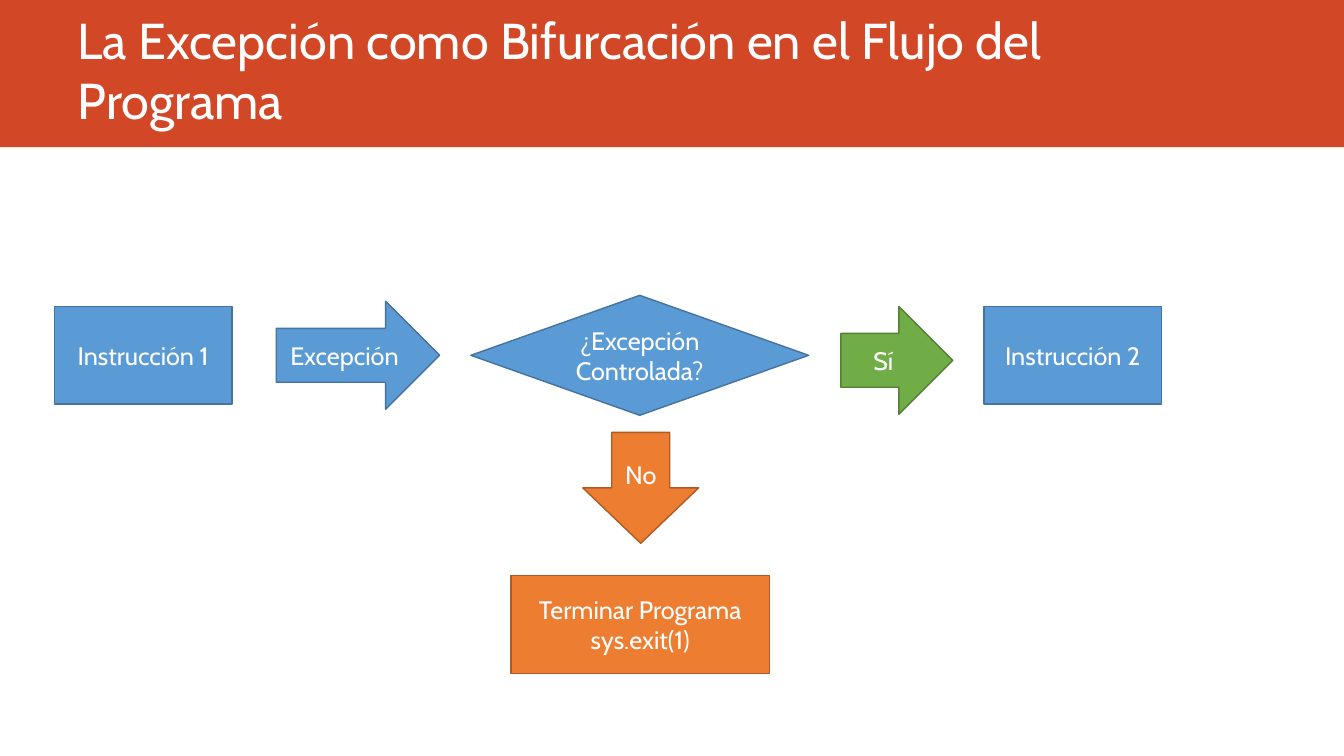
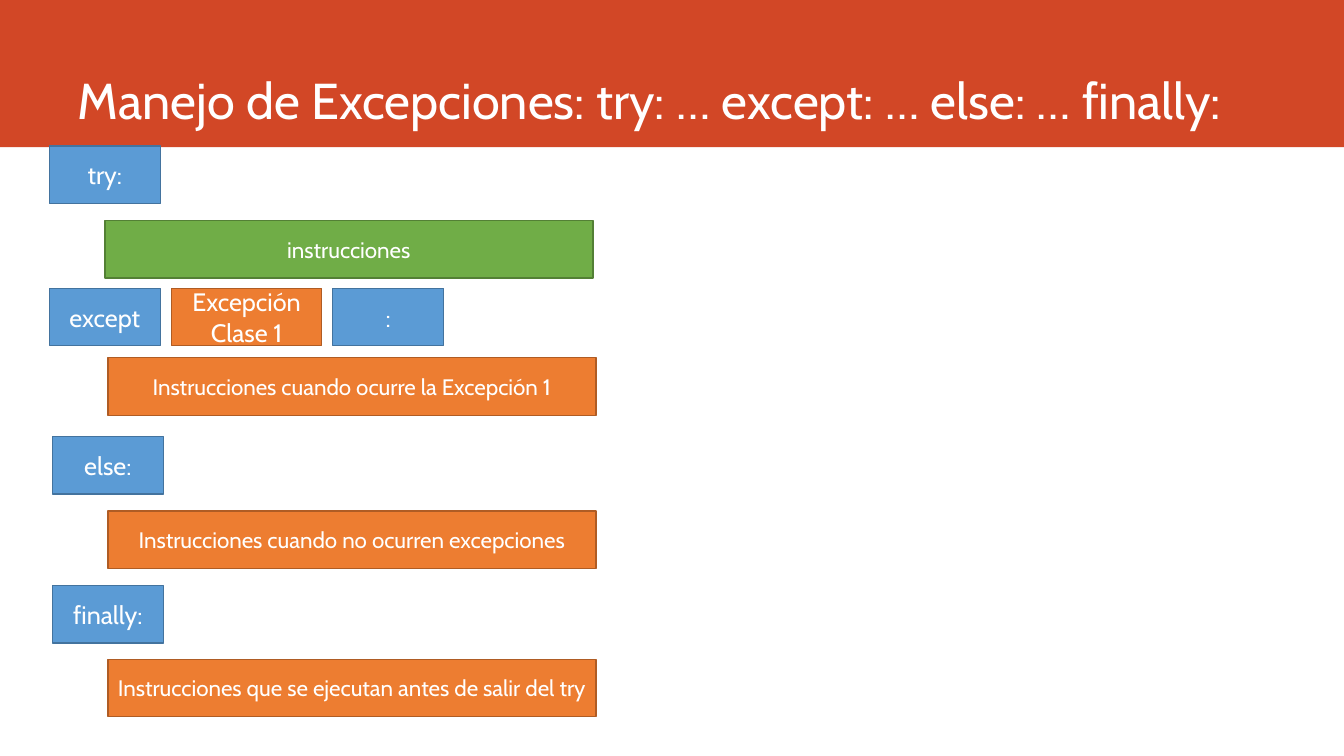
from dataclasses import dataclass

from pptx import Presentation
from pptx.dml.color import RGBColor
from pptx.enum.shapes import MSO_SHAPE
from pptx.enum.text import MSO_ANCHOR, MSO_AUTO_SIZE, PP_ALIGN
from pptx.presentation import Presentation as Deck
from pptx.slide import Slide
from pptx.text.text import TextFrame
from pptx.util import Inches, Pt

RECT = MSO_SHAPE.RECTANGLE
RIGHT = MSO_SHAPE.RIGHT_ARROW
DOWN = MSO_SHAPE.DOWN_ARROW
DECISION = MSO_SHAPE.FLOWCHART_DECISION
LEFT_ALIGN, CENTER = PP_ALIGN.LEFT, PP_ALIGN.CENTER
MIDDLE, BOTTOM = MSO_ANCHOR.MIDDLE, MSO_ANCHOR.BOTTOM
NO_FIT = MSO_AUTO_SIZE.NONE

COLORS = {
    "band": "D24726",
    "text": "FFFFFF",
    "blue": "5B9BD5",
    "blue_line": "43739E",
    "green": "70AD47",
    "green_line": "538035",
    "orange": "ED7D31",
    "orange_line": "AF5C24",
}
FONT = "Cabin"
SLIDE_W, SLIDE_H = 13.33, 7.5
BAND_H = 1.46
TITLE_ONLY = 5
TITLE_BOX = {"left": Inches(0.67), "top": Inches(0),
             "width": Inches(11.75), "height": Inches(1.34)}


@dataclass
class Box:
    text: str
    left: float
    top: float
    width: float
    height: float
    color: str = "blue"
    kind: MSO_SHAPE = RECT
    size: int = 18


def rgb(name: str) -> RGBColor:
    return RGBColor.from_string(COLORS[name])


def write(tf: TextFrame, text: str, size: int, align: PP_ALIGN,
          anchor: MSO_ANCHOR) -> None:
    tf.text = text
    frame_format = {"word_wrap": True, "auto_size": NO_FIT, "vertical_anchor": anchor}
    for name, value in frame_format.items():
        setattr(tf, name, value)
    for p in tf.paragraphs:
        p.alignment = align
        for r in p.runs:
            for name, value in {"name": FONT, "size": Pt(size)}.items():
                setattr(r.font, name, value)
            r.font.color.rgb = rgb("text")


def add_band(prs: Deck, s: Slide) -> None:
    """Draw the title band and move it to the layout, behind the title."""
    band = s.shapes.add_shape(RECT, 0, 0, prs.slide_width, Inches(BAND_H))
    band.shadow.inherit = False
    band.fill.solid()
    band.fill.fore_color.rgb = rgb("band")
    band.line.fill.background()
    s.slide_layout.placeholders[0].element.addprevious(band.element)


def add_box(s: Slide, box: Box) -> None:
    lengths = (box.left, box.top, box.width, box.height)
    sp = s.shapes.add_shape(box.kind, *map(Inches, lengths))
    sp.shadow.inherit = False
    sp.fill.solid()
    sp.fill.fore_color.rgb = rgb(box.color)
    sp.line.color.rgb = rgb(f"{box.color}_line")
    sp.line.width = Pt(1)
    write(sp.text_frame, box.text, box.size, CENTER, MIDDLE)


def add_slide(prs: Deck, title: str, boxes: list[Box]) -> Slide:
    s = prs.slides.add_slide(prs.slide_layouts[TITLE_ONLY])
    for name, value in TITLE_BOX.items():
        setattr(s.shapes.title, name, value)
    write(s.shapes.title.text_frame, title, 36, LEFT_ALIGN, BOTTOM)
    for box in boxes:
        add_box(s, box)
    return s


def flow_boxes() -> list[Box]:
    step_w, step_h, arrow_h = 1.76, 0.97, 1.07
    row_top = 3.04
    return [
        Box("Instrucción 1", 0.54, row_top, step_w, step_h),
        Box("Excepción", 2.74, 2.99, 1.62, arrow_h, kind=RIGHT),
        Box("¿Excepción\nControlada?", 4.67, 2.93, 3.35, 1.19, kind=DECISION),
        Box("Sí", 8.34, row_top, 1.11, arrow_h, "green", RIGHT),
        Box("Instrucción 2", 9.76, row_top, step_w, step_h),
        Box("No", 5.78, 4.29, 1.15, 1.1, "orange", DOWN),
        Box("Terminar Programa\nsys.exit(1)", 5.07, 5.71, 2.56, step_h, "orange"),
    ]


def try_boxes() -> list[Box]:
    key_w, class_w, body_w, row_h = 1.1, 1.49, 4.84, 0.57
    gap, indent = 0.11, 0.55
    key_left, late_left = 0.49, 0.52
    except_top = 2.86
    class_left = key_left + key_w + gap
    colon_left = class_left + class_w + gap

    # Keywords: text, left, top
    keywords = [
        ("try:", key_left, 1.45),
        ("except", key_left, except_top),
        (":", colon_left, except_top),
        ("else:", late_left, 4.33),
        ("finally:", late_left, 5.81),
    ]
    # Indented blocks: text, left of the keyword, top, color
    bodies = [
        ("instrucciones", key_left, 2.19, "green"),
        ("Instrucciones cuando ocurre la Excepción 1", late_left, 3.55, "orange"),
        ("Instrucciones cuando no ocurren excepciones", late_left, 5.07, "orange"),
        ("Instrucciones que se ejecutan antes de salir del try", late_left, 6.54,
         "orange"),
    ]
    boxes = [Box(text, left, top, key_w, row_h) for text, left, top in keywords]
    boxes.append(Box("Excepción\nClase 1", class_left, except_top, class_w, row_h,
                     "orange"))
    boxes += [Box(text, left + indent, top, body_w, row_h, color, size=16)
              for text, left, top, color in bodies]
    return boxes


def main() -> None:
    prs = Presentation()
    prs.slide_width, prs.slide_height = Inches(SLIDE_W), Inches(SLIDE_H)

    # Flow of an exception
    s = add_slide(prs, "La Excepción como Bifurcación en el Flujo del Programa",
                  flow_boxes())
    add_band(prs, s)

    # Structure of the try statement
    add_slide(prs, "Manejo de Excepciones: try: … except: … else: … finally:",
              try_boxes())
    prs.save("out.pptx")


if __name__ == "__main__":
    main()
